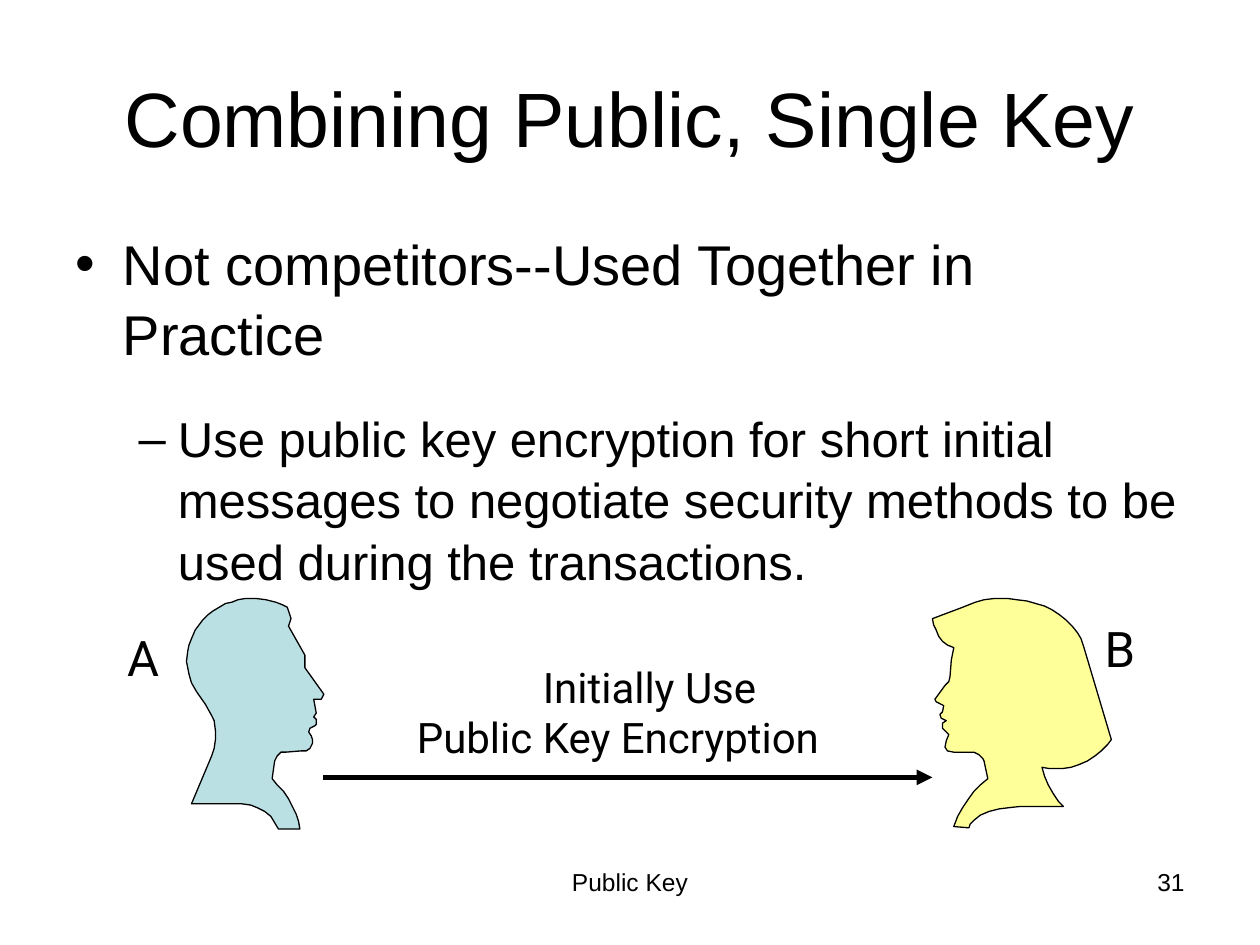
"""Build the slide on combining public-key and single-key encryption."""
from dataclasses import dataclass

from pptx import Presentation
from pptx.dml.color import RGBColor
from pptx.enum.shapes import MSO_CONNECTOR as Connector
from pptx.enum.text import MSO_ANCHOR as Anchor, MSO_AUTO_SIZE as AutoSize, PP_ALIGN as Align
from pptx.oxml.ns import qn
from pptx.util import Pt
from lxml.etree import SubElement


@dataclass(frozen=True)
class Theme:
    """Colours, fonts and type sizes."""
    ink: RGBColor = RGBColor(0, 0, 0)
    sender: RGBColor = RGBColor(0xBB, 0xE0, 0xE3)
    receiver: RGBColor = RGBColor(0xFF, 0xFF, 0x99)
    text_font: str = "Arial"
    label_font: str = "Roboto"
    title: int = 44
    bullet: int = 32
    second_bullet: int = 28
    name: int = 28
    caption: int = 24
    footer: int = 14
    outline: float = 0.75
    arrow: float = 3


HEAD_UNIT = Pt(0.72)
SENDER_HEAD = [
    (221, 658), (218, 653), (215, 648), (210, 644), (204, 641), (199, 639), (192, 638),
    (152, 638), (168, 600), (170, 594), (171, 587), (171, 580), (170, 572), (168, 568),
    (163, 559), (156, 549), (152, 542), (150, 535), (149, 530), (148, 525), (149, 517),
    (150, 512), (152, 507), (155, 500), (158, 496), (161, 492), (165, 488), (169, 485),
    (174, 482), (179, 479), (184, 478), (189, 476), (195, 475), (203, 475), (211, 476),
    (219, 478), (224, 480), (228, 482), (231, 491), (229, 497), (242, 520), (242, 530),
    (257, 551), (255, 555), (249, 555), (251, 566), (249, 569), (251, 571), (251, 575),
    (250, 576), (246, 578), (245, 581), (247, 584), (248, 587), (248, 590), (246, 594),
    (243, 596), (239, 596), (227, 597), (223, 597), (220, 600), (218, 604), (216, 618),
    (220, 623), (225, 628), (229, 634), (232, 640), (235, 646), (237, 652), (238, 658)]
RECEIVER_HEAD = [
    (844, 640), (840, 636), (836, 630), (832, 623), (829, 616), (827, 609), (833, 610),
    (843, 610), (850, 609), (856, 607), (863, 604), (869, 600), (874, 596), (879, 591),
    (882, 587), (860, 513), (858, 507), (855, 502), (851, 497), (846, 492), (841, 488),
    (835, 484), (829, 481), (822, 479), (815, 477), (807, 476), (800, 475), (789, 475),
    (781, 476), (774, 478), (764, 482), (740, 491), (741, 496), (743, 500), (745, 505),
    (748, 509), (752, 512), (757, 514), (755, 524), (754, 537), (753, 541), (750, 544),
    (742, 555), (743, 557), (749, 560), (748, 565), (746, 567), (747, 570), (751, 572),
    (748, 574), (748, 578), (751, 581), (753, 583), (751, 588), (750, 593), (752, 596),
    (757, 597), (773, 597), (777, 599), (780, 602), (781, 604), (784, 618), (778, 623),
    (773, 628), (768, 635), (764, 641), (760, 648), (757, 656), (769, 657), (770, 654),
    (773, 651), (778, 647), (785, 644), (793, 642), (801, 641), (810, 640)]


class SlideBuilder:
    """Draw styled elements on one slide."""

    def __init__(self, slide, theme):
        self.slide = slide
        self.theme = theme

    def set_font(self, paragraph, size, name):
        """Apply one font to a paragraph."""
        font = paragraph.font
        font.size, font.name = Pt(size), name
        font.color.rgb = self.theme.ink

    def place(self, shape, left, top, width, height):
        """Position a placeholder and keep its type sizes fixed."""
        shape.left, shape.top, shape.width, shape.height = map(Pt, (left, top, width, height))
        shape.text_frame.auto_size = AutoSize.NONE

    def title(self, text, *box):
        """Fill the title placeholder."""
        shape = self.slide.shapes.title
        self.place(shape, *box)
        frame = shape.text_frame
        frame.text, frame.vertical_anchor = text, Anchor.MIDDLE
        self.set_font(frame.paragraphs[0], self.theme.title, self.theme.text_font)

    def bullets(self, items, *box):
        """Fill the body placeholder with (text, level, size, space before)."""
        shape = self.slide.placeholders[1]
        self.place(shape, *box)
        frame = shape.text_frame
        frame.text = "\n".join(item[0] for item in items)
        for paragraph, (_, level, size, space) in zip(frame.paragraphs, items):
            paragraph.level = level
            paragraph.space_before = Pt(space)
            paragraph.line_spacing = 1.04
            self.set_font(paragraph, size, self.theme.text_font)

    def text(self, text, size, name, *box, align=Align.LEFT, wrap=False, tab=None):
        """Add a text box, optionally with one tab stop."""
        frame = self.slide.shapes.add_textbox(*map(Pt, box)).text_frame
        frame.word_wrap = wrap
        paragraph = frame.paragraphs[0]
        paragraph.text, paragraph.alignment = text, align
        if tab:
            tabs = SubElement(paragraph._p.get_or_add_pPr(), qn("a:tabLst"))
            SubElement(tabs, qn("a:tab"), pos=str(Pt(tab)), algn="l")
        self.set_font(paragraph, size, name)

    def head(self, points, colour):
        """Add a head in profile."""
        builder = self.slide.shapes.build_freeform(*points[0], scale=HEAD_UNIT)
        builder.add_line_segments(points[1:], close=True)
        shape = builder.convert_to_shape()
        shape.shadow.inherit = False
        shape.fill.solid()
        shape.fill.fore_color.rgb = colour
        shape.line.color.rgb = self.theme.ink
        shape.line.width = Pt(self.theme.outline)

    def arrow(self, *ends):
        """Add a straight arrow."""
        connector = self.slide.shapes.add_connector(Connector.STRAIGHT, *map(Pt, ends))
        connector.line.color.rgb = self.theme.ink
        connector.line.width = Pt(self.theme.arrow)
        SubElement(connector.line._get_or_add_ln(), qn("a:tailEnd"), type="triangle")
        SubElement(connector._element.spPr, qn("a:effectLst"))


def main():
    """Build and save the presentation."""
    presentation = Presentation()
    presentation.slide_width, presentation.slide_height = Pt(720), Pt(540)
    theme = Theme()
    slide = SlideBuilder(presentation.slides.add_slide(presentation.slide_layouts[1]), theme)
    slide.title("Combining Public, Single Key", 36, 21.6, 648, 90)
    slide.bullets([
        ("Not competitors--Used Together in Practice", 0, theme.bullet, 0),
        ("Use public key encryption for short initial messages to negotiate security "
         "methods to be used during the transactions.", 1, theme.second_bullet, 22.8),
    ], 36, 126, 648, 356.4)
    slide.head(RECEIVER_HEAD, theme.receiver)
    slide.head(SENDER_HEAD, theme.sender)
    slide.arrow(184.8, 444.2, 532.8, 444.2)
    slide.text("\tInitially Use\vPublic Key Encryption", theme.caption, theme.label_font,
               231.1, 374.4, 256.3, 64.8, tab=72)
    for name, left, top in (("A", 65.5, 355), ("B", 624.2, 350)):
        slide.text(name, theme.name, theme.label_font, left, top, 32.4, 41)
    for text, left, width, align in (("Public Key", 246, 228, Align.CENTER),
                                     ("31", 516, 168, Align.RIGHT)):
        slide.text(text, theme.footer, theme.text_font, left, 491.8, width, 37.4,
                   align=align, wrap=True)
    presentation.save("out.pptx")


if __name__ == "__main__":
    main()
